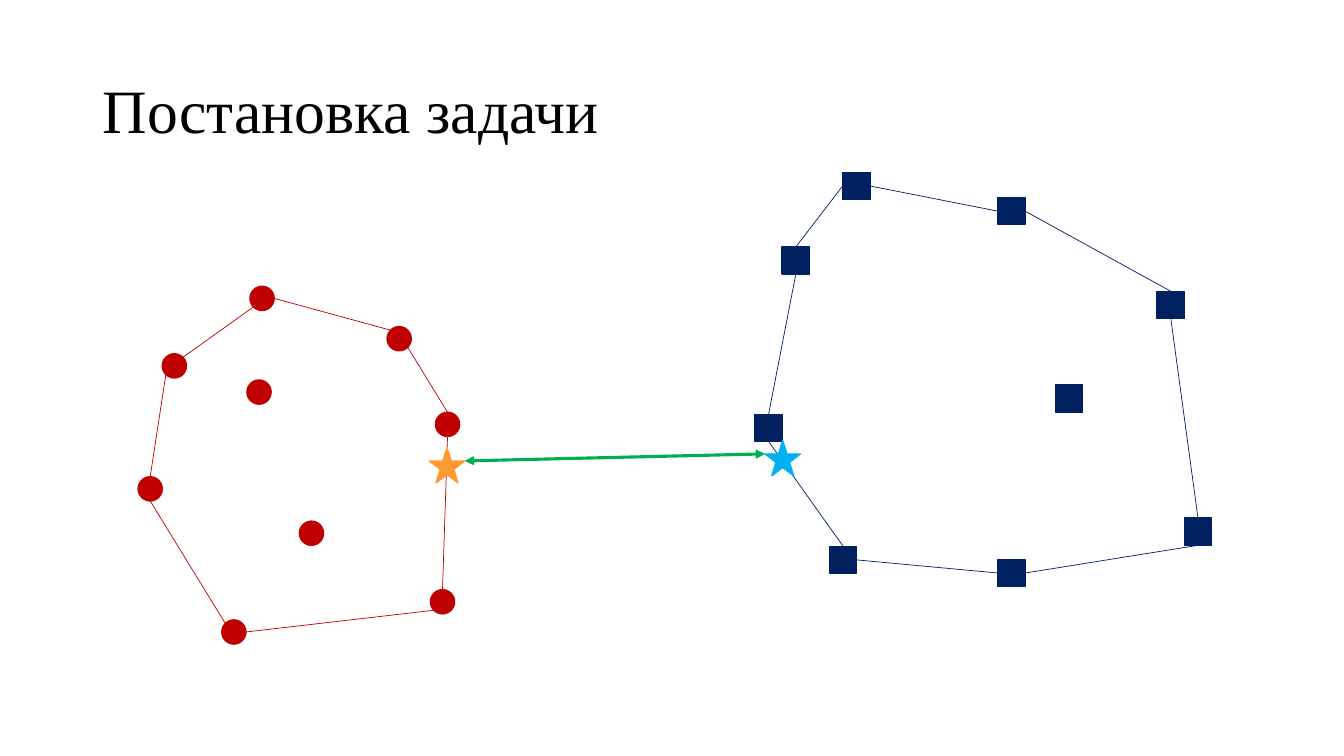
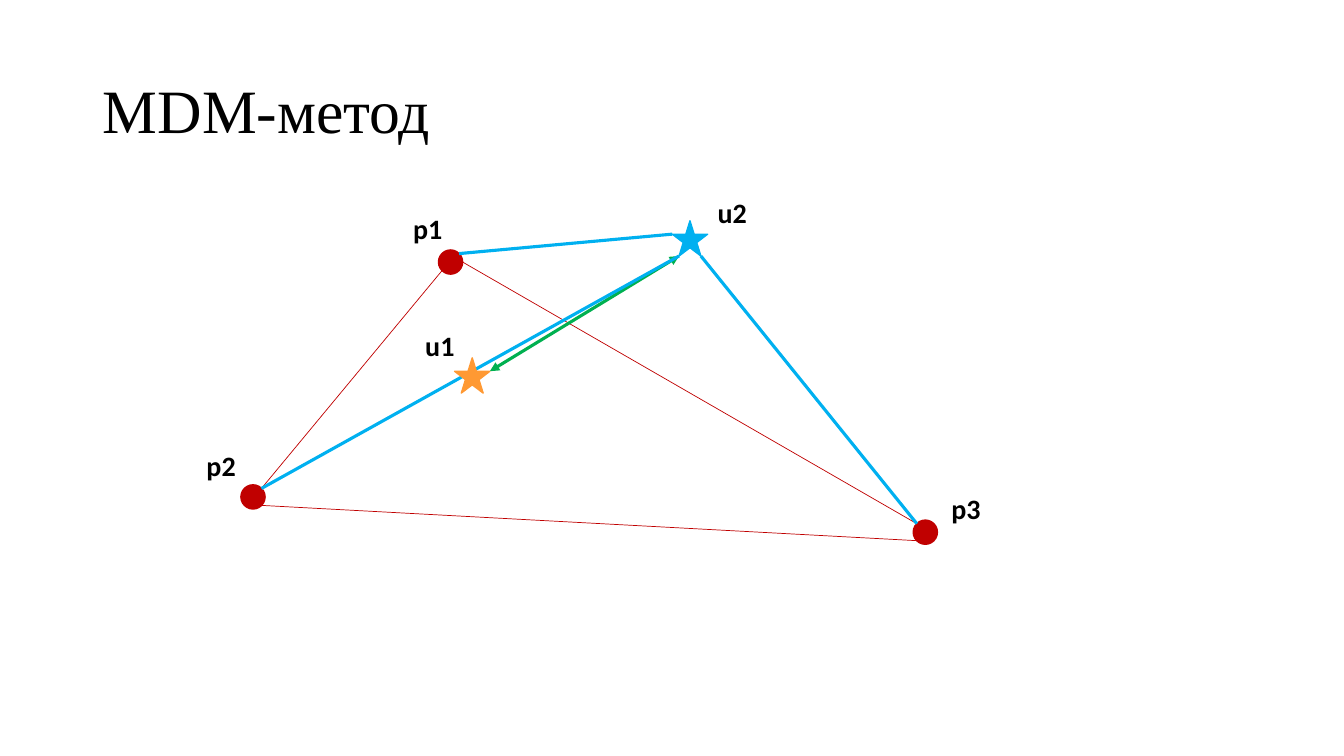
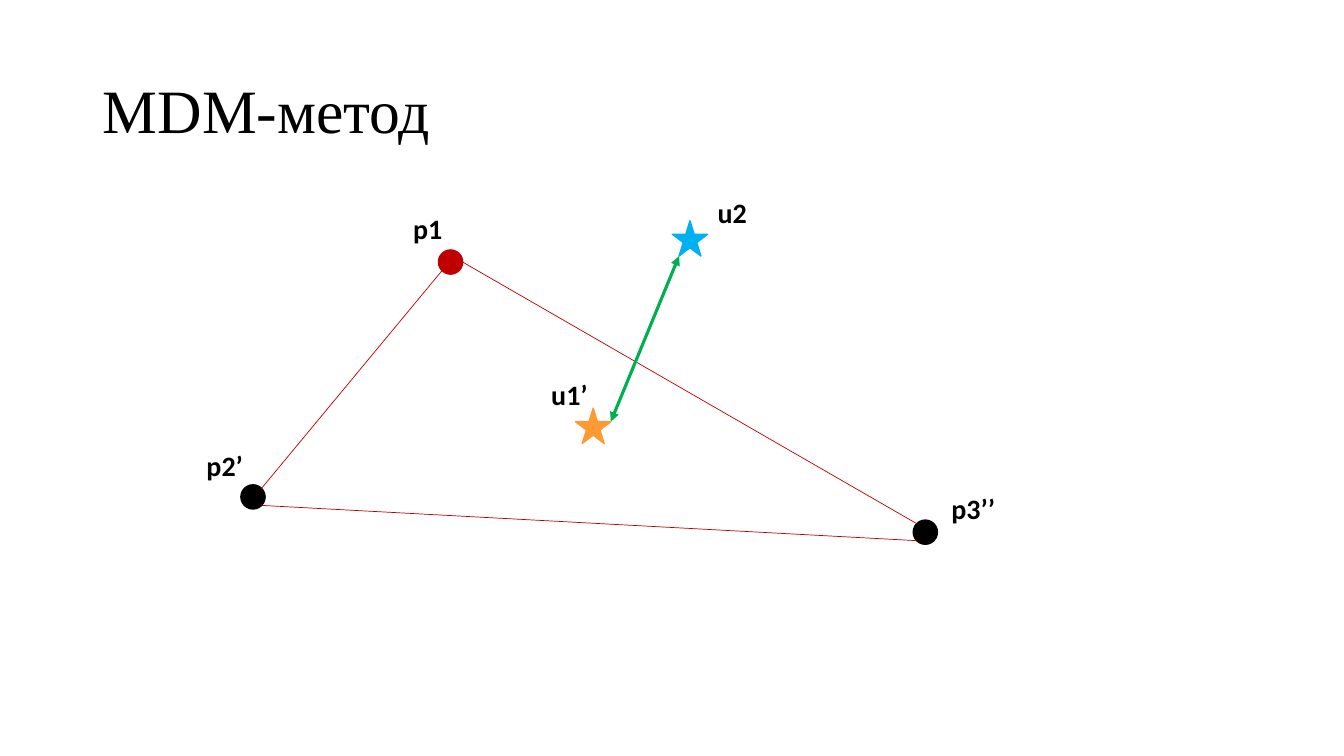
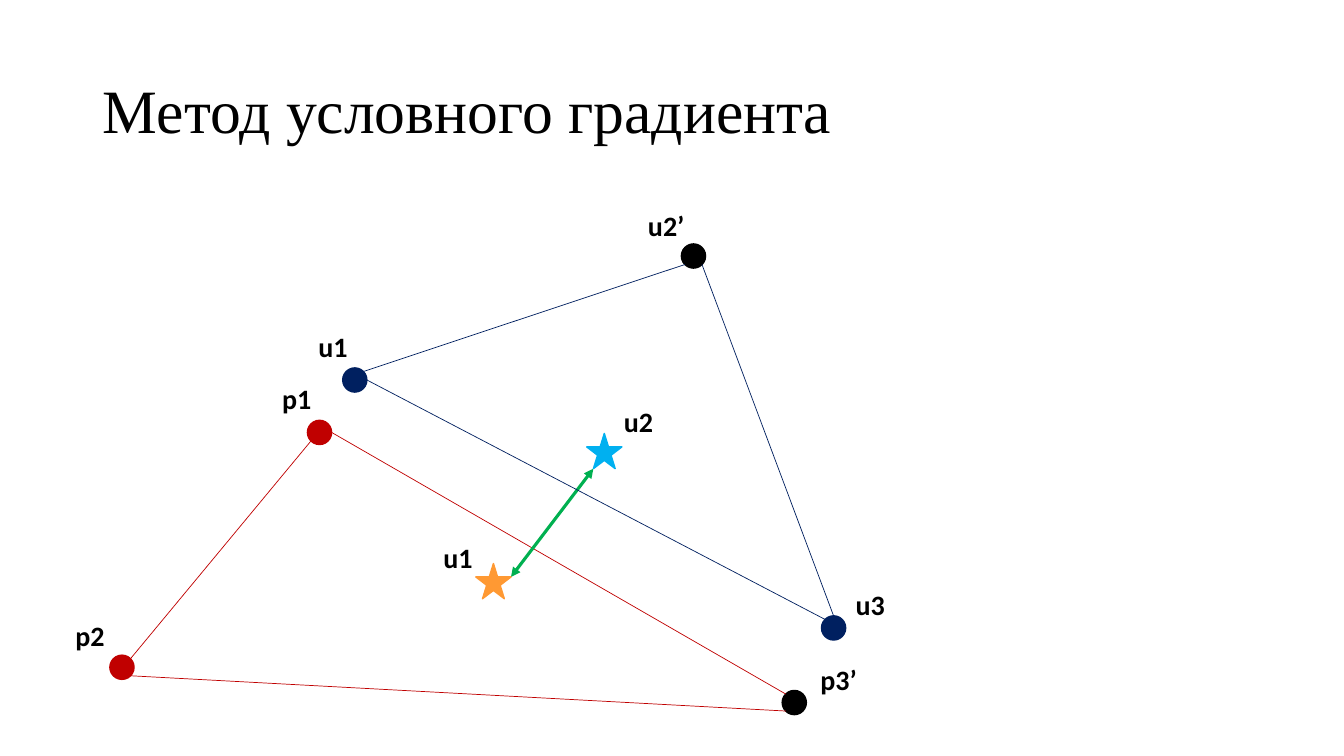
from dataclasses import dataclass

from lxml.etree import SubElement
from pptx import Presentation
from pptx.dml.color import RGBColor
from pptx.enum.shapes import MSO_CONNECTOR, MSO_SHAPE
from pptx.enum.text import MSO_ANCHOR, MSO_AUTO_SIZE, PP_ALIGN
from pptx.oxml.ns import qn
from pptx.util import Inches, Pt


@dataclass(frozen=True)
class Theme:
    red: str = "C00000"
    navy: str = "002060"
    black: str = "000000"
    orange: str = "FF9933"
    sky: str = "00B0F0"
    green: str = "00B050"
    title_font: str = "Times New Roman"
    label_font: str = "Calibri"
    title_size: int = 44
    label_size: int = 20
    thin: float = 0.5
    outline: float = 1
    thick: float = 2.25


T = Theme()
CELL = Inches(0.1)  # all places and sizes are counted in grid cells
COLS, ROWS = 133.33, 75
TITLE_BOX = 9.2, 4, 115, 14.5
LABEL_SIZE = 6.8, 4.4

# Joining points of each kind of mark, as shares of its size
SIDES = {"n": (0.5, 0), "w": (0, 0.5), "s": (0.5, 1), "e": (1, 0.5)}
CORNERS = {"nw": (0.15, 0.15), "ne": (0.85, 0.15), "sw": (0.15, 0.85), "se": (0.85, 0.85)}
STAR_TIPS = {"w": (0, 0.38), "sw": (0.19, 1), "se": (0.81, 1), "e": (1, 0.38)}

# kind: preset, size, joining points
KINDS = {
    "circle": (MSO_SHAPE.OVAL, 2.4, SIDES | CORNERS),
    "square": (MSO_SHAPE.RECTANGLE, 2.7, SIDES),
    "star": (MSO_SHAPE.STAR_5_POINT, 3.5, STAR_TIPS),
}

# link style: colour, width, arrowheads
STYLES = {
    "red": (T.red, T.thin, False),
    "navy": (T.navy, T.thin, False),
    "sky": (T.sky, T.thick, False),
    "gap": (T.green, T.thick, True),
}


def write(tf, text, font=T.label_font, size=T.label_size, bold=False,
          color=T.black, spacing=None):
    p = tf.paragraphs[0]
    p.alignment = PP_ALIGN.LEFT
    p.line_spacing = spacing
    r = p.add_run()
    r.text = text
    r.font.name, r.font.size, r.font.bold = font, Pt(size), bold
    r.font.color.rgb = RGBColor.from_string(color)


def site(mark, side):
    """Return the slide position of a mark's joining point."""
    kind, _, x, y = mark[:4]
    _, size, points = KINDS[kind]
    dx, dy = points[side]
    return int((x + dx * size) * CELL), int((y + dy * size) * CELL)


# A mark is kind, colour, column, row and, if labelled, text and label offset
red_points = [(16.1, 35.1), (24.8, 28.4), (38.4, 32.4), (43.2, 40.9), (42.7, 58.5),
              (22, 61.5), (13.7, 47.3), (24.5, 37.7), (29.7, 51.7)]
navy_points = [(74.9, 41.1), (77.6, 24.5), (83.6, 17.1), (99, 19.6), (114.8, 28.9),
               (117.5, 51.4), (99, 55.5), (82.3, 54.2), (104.7, 38.2)]
clouds = {f"r{i}": ("circle", T.red, x, y) for i, (x, y) in enumerate(red_points, 1)}
clouds |= {f"b{i}": ("square", T.navy, x, y) for i, (x, y) in enumerate(navy_points, 1)}
clouds |= {"u1": ("star", T.orange, 42.6, 44.4), "u2": ("star", T.sky, 75.9, 43.7)}

# The triangle p1 p2 p3: column, row, label offset
CORNER_POINTS = {"p1": (43.5, 24.8, -3.5, -4.3), "p2": (23.9, 48.1, -4.4, -4.1),
                 "p3": (90.6, 51.6, 2.8, -3.3)}
triangles = []
for dx, dy, texts in [(0, 0, ("p1", "p2", "p3")),
                      (0, 0, ("p1", "p2’", "p3’’")),
                      (-13, 16.9, ("p1", "p2", "p3’"))]:
    triangles.append({
        name: ("circle", T.black if "’" in text else T.red, x + dx, y + dy, text, lx, ly)
        for (name, (x, y, lx, ly)), text in zip(CORNER_POINTS.items(), texts)})
start, step, gradient = triangles

u2 = ("star", T.sky, 66.7, 21.9, "u2", 3.5, -3)
start |= {"u1": ("star", T.orange, 45.1, 35.5, "u1", -3.9, -3.4), "u2": u2}
step |= {"u1": ("star", T.orange, 57.1, 40.5, "u1’", -3.4, -3.5), "u2": u2}
gradient |= {
    "u1": ("star", T.orange, 47.2, 55.9, "u1", -4.2, -2.8),
    "u2": ("star", T.sky, 58.2, 43, "u2", 2.7, -3.4),
    "v1": ("circle", T.navy, 34, 36.5, "u1", -3.4, -4.3),
    "v2": ("circle", T.black, 67.6, 24.2, "u2’", -4.3, -4),
    "v3": ("circle", T.navy, 81.5, 61.1, "u3", 2.4, -3.3),
}

# Links read "mark side mark side", grouped by style
red_hull = ["r1 ne r2 sw", "r2 e r3 nw", "r3 se r4 n", "r4 s r5 n", "r5 sw r6 e",
            "r6 nw r7 s", "r7 n r1 sw"]
navy_hull = ["b1 n b2 s", "b2 n b3 w", "b3 e b4 w", "b4 e b5 n", "b5 s b6 n",
             "b6 s b7 e", "b7 w b8 e", "b1 s b8 n"]
triangle = ["p2 ne p1 sw", "p1 e p3 nw", "p3 sw p2 se"]
distance = ["u2 sw u1 e"]

slides = [
    ("Постановка задачи", clouds,
     {"red": red_hull, "navy": navy_hull, "gap": ["u1 e u2 w"]}),
    ("MDM-метод", start,
     {"red": triangle, "gap": distance,
      "sky": ["u2 se p3 nw", "p1 ne u2 w", "p2 ne u2 sw"]}),
    ("MDM-метод", step, {"red": triangle, "gap": distance}),
    ("Метод условного градиента", gradient,
     {"red": triangle, "gap": distance,
      "navy": ["v1 e v3 nw", "v1 ne v2 sw", "v2 se v3 n"]}),
]

prs = Presentation()
prs.slide_width, prs.slide_height = int(COLS * CELL), int(ROWS * CELL)
layout = prs.slide_layouts[5]
title = layout.placeholders[0]
title.left, title.top, title.width, title.height = (int(v * CELL) for v in TITLE_BOX)
title.text_frame.vertical_anchor = MSO_ANCHOR.MIDDLE

for heading, marks, links in slides:
    s = prs.slides.add_slide(layout)
    write(s.shapes.title.text_frame, heading, font=T.title_font, size=T.title_size,
          spacing=0.9)

    # Points go below the links, stars above them
    shapes = {}
    for layer in ("points", "links", "stars"):
        if layer == "links":
            for style, pairs in links.items():
                color, width, arrows = STYLES[style]
                for pair in pairs:
                    a, a_side, b, b_side = pair.split()
                    c = s.shapes.add_connector(MSO_CONNECTOR.STRAIGHT,
                                               *site(marks[a], a_side),
                                               *site(marks[b], b_side))
                    if marks[a][0] == marks[b][0] == "square":
                        c.begin_connect(shapes[a], "nwse".index(a_side))
                        c.end_connect(shapes[b], "nwse".index(b_side))
                    c.line.color.rgb = RGBColor.from_string(color)
                    c.line.width = Pt(width)
                    spPr = c._element.spPr
                    if arrows:
                        for end in ("a:headEnd", "a:tailEnd"):
                            SubElement(spPr.find(qn("a:ln")), qn(end), type="triangle")
                    SubElement(spPr, qn("a:effectLst"))
            continue
        for name, (kind, color, x, y, *label) in marks.items():
            if (kind == "star") != (layer == "stars"):
                continue
            preset, size, _ = KINDS[kind]
            sp = s.shapes.add_shape(preset, *(int(v * CELL) for v in (x, y, size, size)))
            sp.shadow.inherit = False
            sp.fill.solid()
            sp.fill.fore_color.rgb = sp.line.color.rgb = RGBColor.from_string(color)
            sp.line.width = Pt(T.outline)
            shapes[name] = sp
            if label:
                text, dx, dy = label
                box = s.shapes.add_textbox(
                    *(int(v * CELL) for v in (x + dx, y + dy, *LABEL_SIZE)))
                tf = box.text_frame
                tf.word_wrap = True
                tf.auto_size = MSO_AUTO_SIZE.SHAPE_TO_FIT_TEXT
                write(tf, text, bold=True)

prs.save("out.pptx")
